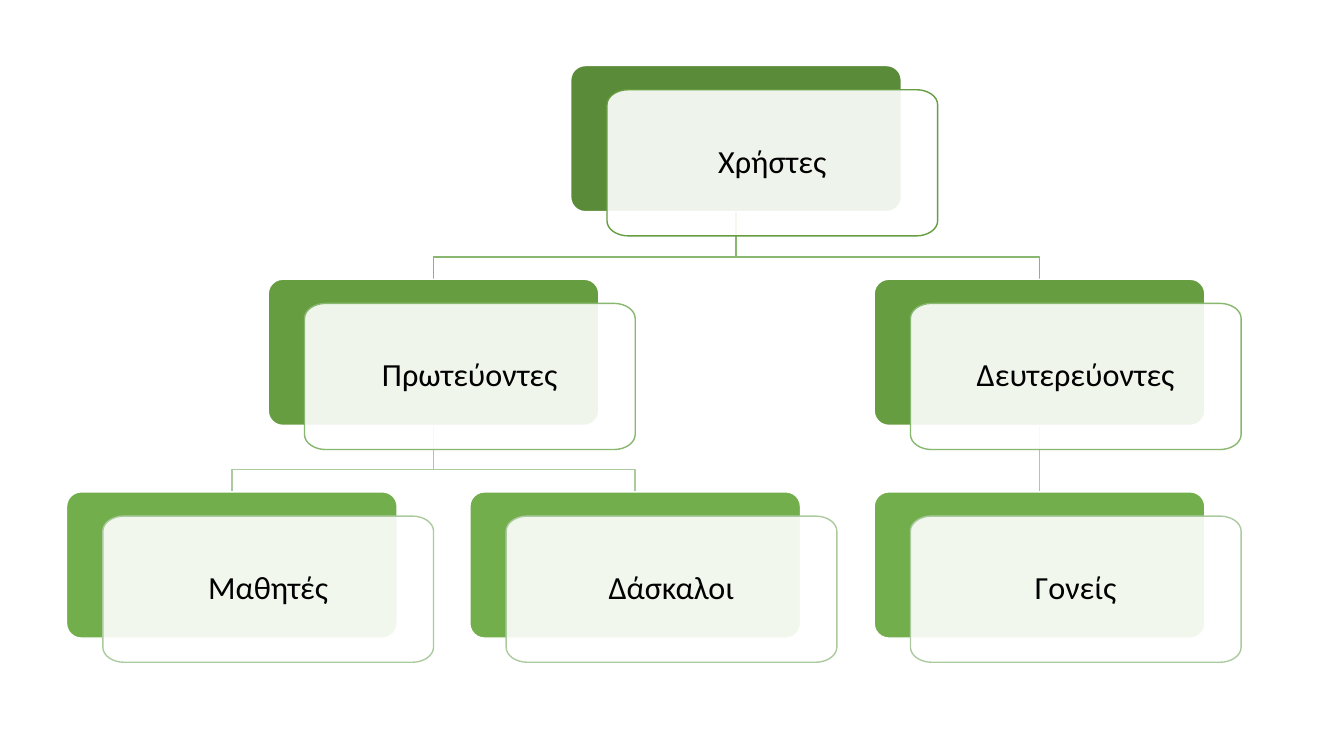
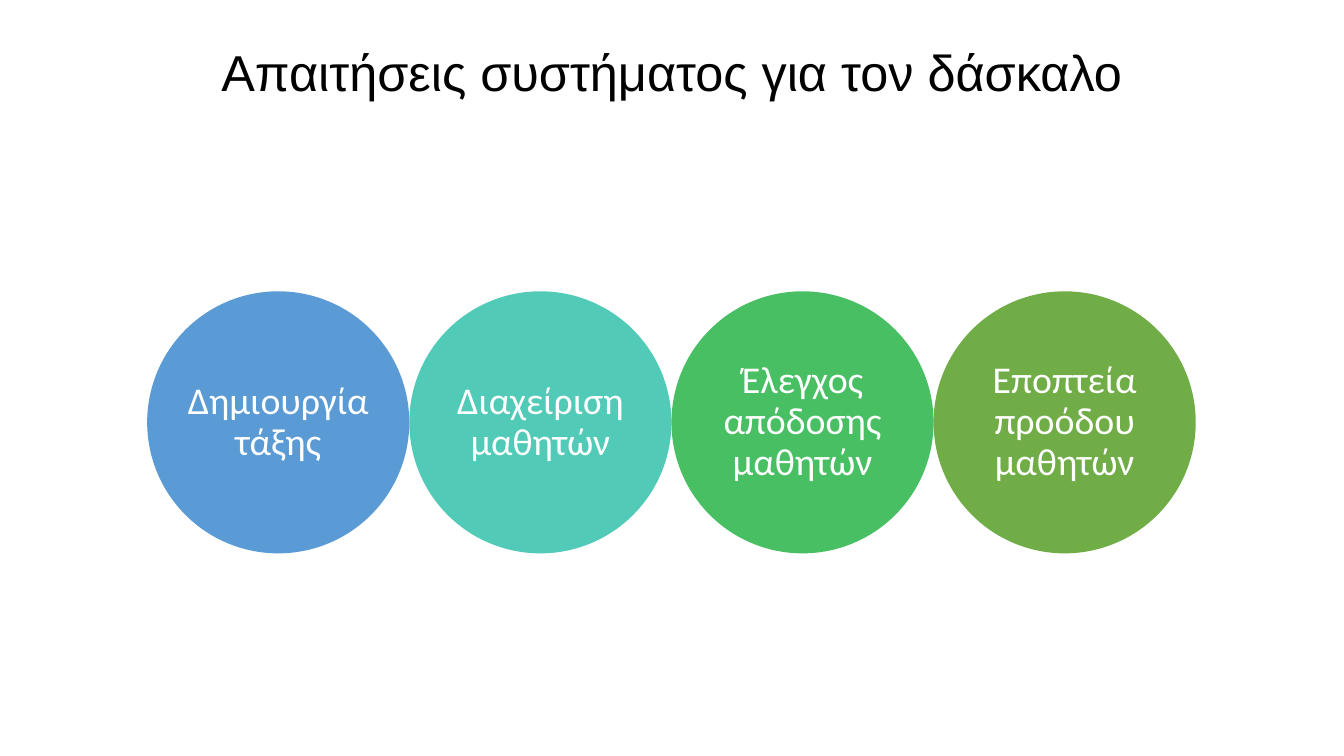
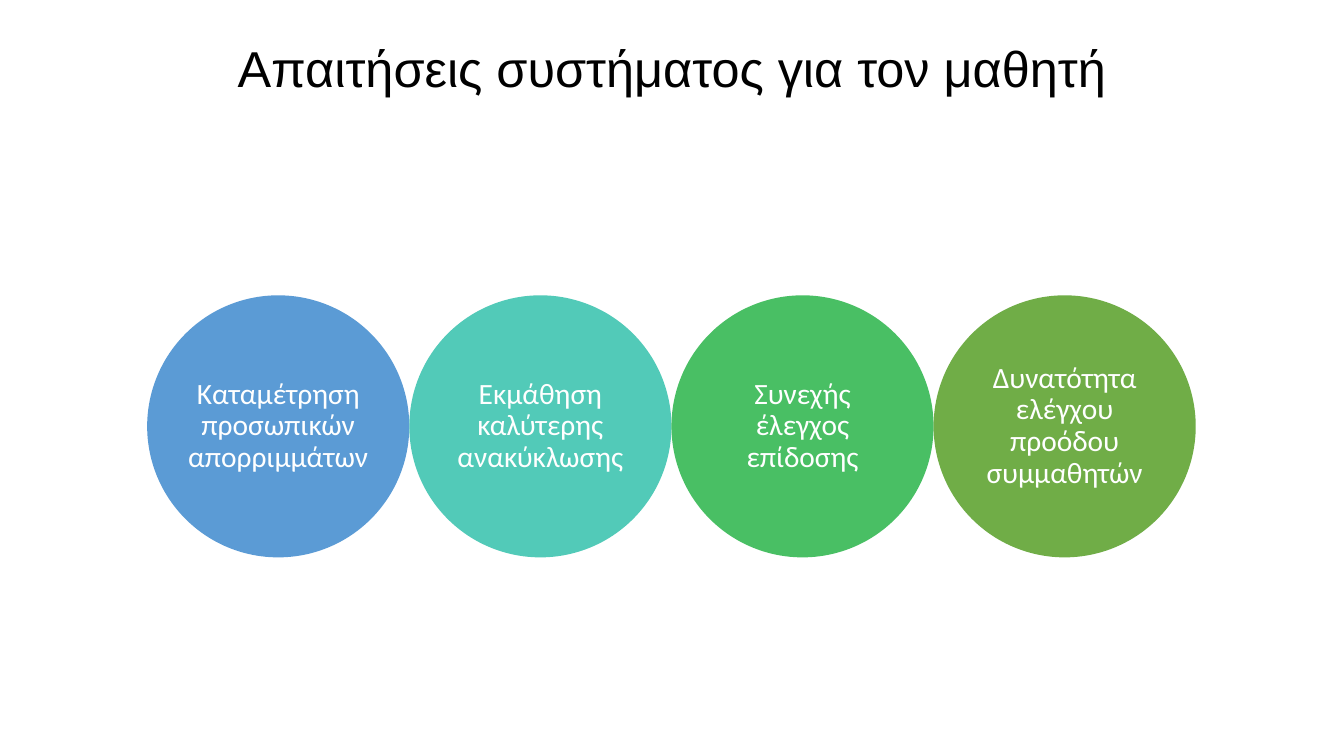
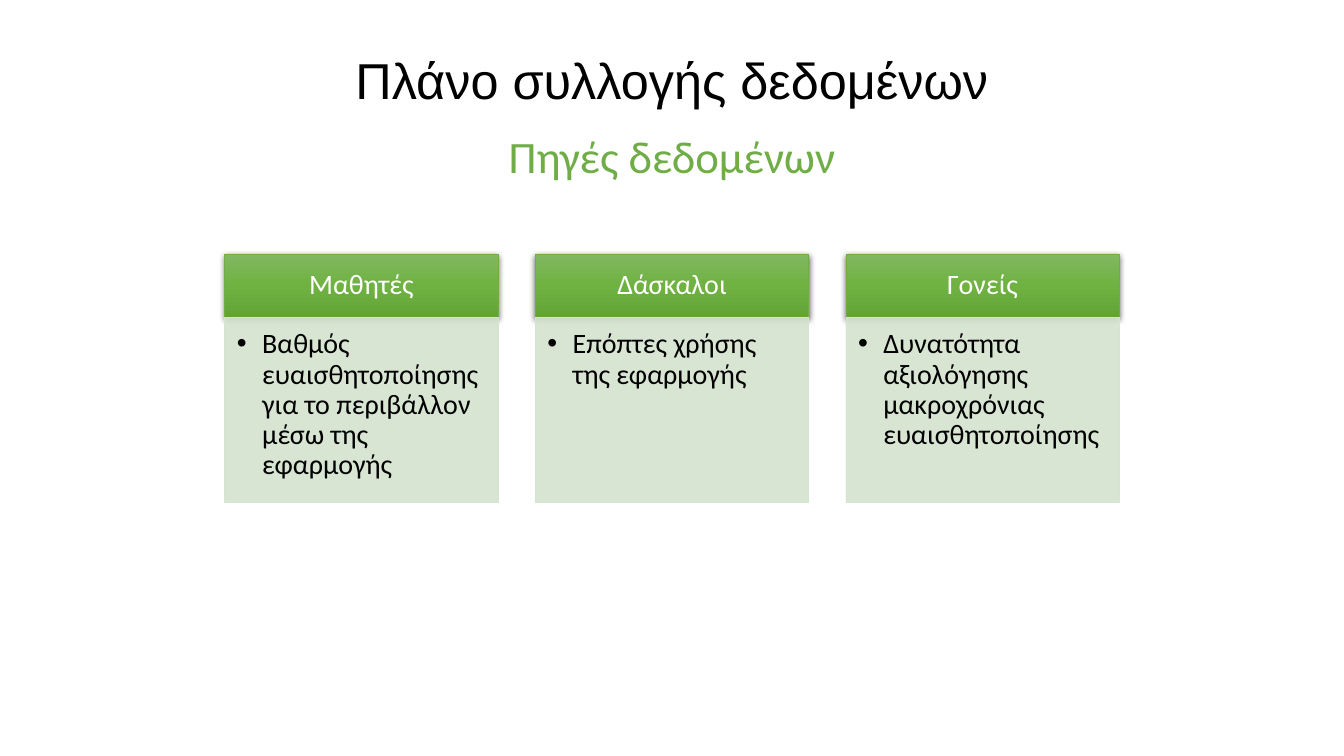
from copy import deepcopy
from math import cos, pi, sin

from pptx import Presentation
from pptx.dml.color import RGBColor
from pptx.enum.shapes import MSO_SHAPE
from pptx.enum.text import MSO_ANCHOR, PP_ALIGN
from pptx.oxml.ns import qn
from pptx.util import Inches, Pt
from lxml.etree import SubElement

BLACK, WHITE, GREEN, PALE = "000000", "FFFFFF", "70AD47", "D5E3CF"
DISCS = ["5B9BD5", "52CAB8", "49BF64", GREEN]
SHADES = [(0, "81B861"), (0.5, "6FB242"), (1, "62A336")]

# Top, back fill and line of each level of the tree
LEVELS = [
    (0.65, "5A8B39", "669D40"),
    (2.77, "669D40", "88B76F"),
    (4.88, "73AE4C", "ACCA9F"),
]
# Text, left, level and index of the parent
NODES = [
    ("Χρήστες", 5.66, 0, None),
    ("Πρωτεύοντες", 2.66, 1, 0),
    ("Δευτερεύοντες", 8.67, 1, 0),
    ("Μαθητές", 0.66, 2, 1),
    ("Δάσκαλοι", 4.66, 2, 1),
    ("Γονείς", 8.67, 2, 2),
]
CARD_W, CARD_H = 3.28, 1.45

TEACHER = ["Δημιουργία τάξης", "Διαχείριση μαθητών",
           "Έλεγχος απόδοσης μαθητών", "Εποπτεία προόδου μαθητών"]
PUPIL = ["Καταμέτρηση προσωπικών απορριμμάτων",
         "Εκμάθηση καλύτερης ανακύκλωσης",
         "Συνεχής έλεγχος επίδοσης",
         "Δυνατότητα ελέγχου προόδου συμμαθητών"]
SOURCES = [
    ("Μαθητές", "Βαθμός ευαισθητοποίησης για το περιβάλλον μέσω της εφαρμογής"),
    ("Δάσκαλοι", "Επόπτες χρήσης της εφαρμογής"),
    ("Γονείς", "Δυνατότητα αξιολόγησης μακροχρόνιας ευαισθητοποίησης"),
]


def rgb(code):
    return RGBColor.from_string(code)


def paint(shape, fill=None, line=None, width=1):
    shape.shadow.inherit = False
    if fill:
        shape.fill.solid()
        shape.fill.fore_color.rgb = rgb(fill)
    else:
        shape.fill.background()
    if line:
        shape.line.color.rgb = rgb(line)
        shape.line.width = Pt(width)
    else:
        shape.line.fill.background()


def fade(shape, share):
    """Make the solid fill partly see-through."""
    color = shape._element.spPr.find(qn("a:solidFill")).find(qn("a:srgbClr"))
    SubElement(color, qn("a:alpha"), val=str(share * 1000))


def shade(shape):
    """Give a three-stop gradient, from top to bottom."""
    fill = shape.fill
    fill.gradient()
    fill.gradient_angle = 270
    stops = shape._element.spPr.find(qn("a:gradFill")).find(qn("a:gsLst"))
    stops.insert(1, deepcopy(stops[0]))
    for stop, (place, color) in zip(fill.gradient_stops, SHADES):
        stop.position = place
        stop.color.rgb = rgb(color)


def cast(shape):
    """Add a soft shadow below the shape."""
    effects = shape._element.spPr.find(qn("a:effectLst"))
    outer = SubElement(effects, qn("a:outerShdw"), blurRad=str(Pt(4.5)),
                       dist=str(Pt(1.5)), dir="5400000", rotWithShape="0")
    color = SubElement(outer, qn("a:srgbClr"), val=BLACK)
    SubElement(color, qn("a:alpha"), val="63000")


def write(shape, text, size, color, pads, font="Calibri", bullet=False,
          gap=0.9):
    frame = shape.text_frame
    frame.word_wrap = True
    frame.vertical_anchor = MSO_ANCHOR.TOP if bullet else MSO_ANCHOR.MIDDLE
    (frame.margin_left, frame.margin_top,
     frame.margin_right, frame.margin_bottom) = map(Inches, pads)
    para = frame.paragraphs[0]
    para.text = text
    para.alignment = PP_ALIGN.LEFT if bullet else PP_ALIGN.CENTER
    para.line_spacing = gap
    if bullet:
        props = para._p.get_or_add_pPr()
        props.set("marL", str(Inches(0.25)))
        props.set("indent", str(Inches(-0.25)))
        SubElement(props, qn("a:buFont"), typeface="Arial")
        SubElement(props, qn("a:buChar"), char="•")
    para.font.size = Pt(size)
    para.font.name = font
    para.font.color.rgb = rgb(color)


def add(slide, kind, *box):
    return slide.shapes.add_shape(kind, *map(Inches, box))


def head(slide, text, top, left=0, width=13.33, height=0.71, size=36,
         color=BLACK, font="Arial"):
    box = slide.shapes.add_textbox(*map(Inches, (left, top, width, height)))
    write(box, text, size, color, (0.1, 0.05, 0.1, 0.05), font, gap=1)


def trace(slide, points, close):
    points = [(Inches(x), Inches(y)) for x, y in points]
    pen = slide.shapes.build_freeform(*points[0])
    pen.add_line_segments(points[1:], close=close)
    return pen.convert_to_shape()


def bend(left, top, steps=8):
    """Return the outline of a card with wide elliptic corners."""
    rx, ry = 0.21, 0.15
    right, base = left + CARD_W - rx, top + CARD_H - ry
    spots = [(right, base), (left + rx, base),
             (left + rx, top + ry), (right, top + ry)]
    turns = [(x, y, (turn + step / steps) * pi / 2)
             for turn, (x, y) in enumerate(spots)
             for step in range(steps + 1)]
    return [(x + rx * cos(a), y + ry * sin(a)) for x, y, a in turns]


def link(slide, node):
    _, left, level, above = node
    _, start, rank, _ = NODES[above]
    top, _, color = LEVELS[level]
    x1, x2 = start + CARD_W / 2, left + CARD_W / 2
    y1, mid = LEVELS[rank][0] + CARD_H, top - 0.22
    if x1 == x2:
        points = [(x1, y1), (x2, top)]
    else:
        points = [(x1, y1), (x1, mid), (x2, mid), (x2, top)]
    paint(trace(slide, points, False), line=color)


def card(slide, text, left, level):
    top, fill, line = LEVELS[level]
    back = add(slide, MSO_SHAPE.ROUNDED_RECTANGLE, left, top, CARD_W, CARD_H)
    back.adjustments[0] = 0.1
    paint(back, fill, WHITE)
    front = trace(slide, bend(left + 0.36, top + 0.24), True)
    paint(front, WHITE, line)
    fade(front, 90)
    write(front, text, 23, BLACK, [0.14] * 4)


def tree(slide):
    for node in NODES[1:]:
        link(slide, node)
    for text, left, level, _ in NODES:
        card(slide, text, left, level)


def chain(slide, texts, top, size):
    """Draw a row of touching discs."""
    side = 2.6
    for i, (text, color) in enumerate(zip(texts, DISCS)):
        disc = add(slide, MSO_SHAPE.OVAL, 1.46 + i * side, top, side, side)
        paint(disc, color)
        write(disc, text, size, WHITE, [0] * 4)


def column(slide, left, name, note):
    width = 2.71
    cap = add(slide, MSO_SHAPE.RECTANGLE, left, 2.52, width, 0.63)
    paint(cap, GREEN, GREEN, 0.5)
    shade(cap)
    cast(cap)
    write(cap, name, 20, WHITE, (0.16, 0.09, 0.16, 0.09))
    body = add(slide, MSO_SHAPE.RECTANGLE, left, 3.15, width, 1.83)
    paint(body, PALE, PALE, 0.5)
    fade(body, 90)
    write(body, note, 20, BLACK, (0.12, 0.12, 0.16, 0.17), bullet=True)


def main():
    deck = Presentation()
    deck.slide_width, deck.slide_height = Inches(13.33), Inches(7.5)
    users, teacher, pupil, plan = [
        deck.slides.add_slide(deck.slide_layouts[6]) for _ in range(4)]

    tree(users)

    head(teacher, "Απαιτήσεις συστήματος για τον δάσκαλο", 0.35)
    chain(teacher, TEACHER, 2.89, 27)

    head(pupil, "Απαιτήσεις συστήματος για τον μαθητή", 0.31)
    chain(pupil, PUPIL, 2.93, 21)

    head(plan, "Πλάνο συλλογής δεδομένων", 0.43)
    head(plan, "Πηγές δεδομένων", 1.22, 3.42, 6.49, 0.64, 32, GREEN, "Calibri")
    for i, (name, note) in enumerate(SOURCES):
        column(plan, 2.23 + i * 3.08, name, note)

    deck.save("out.pptx")


if __name__ == "__main__":
    main()
